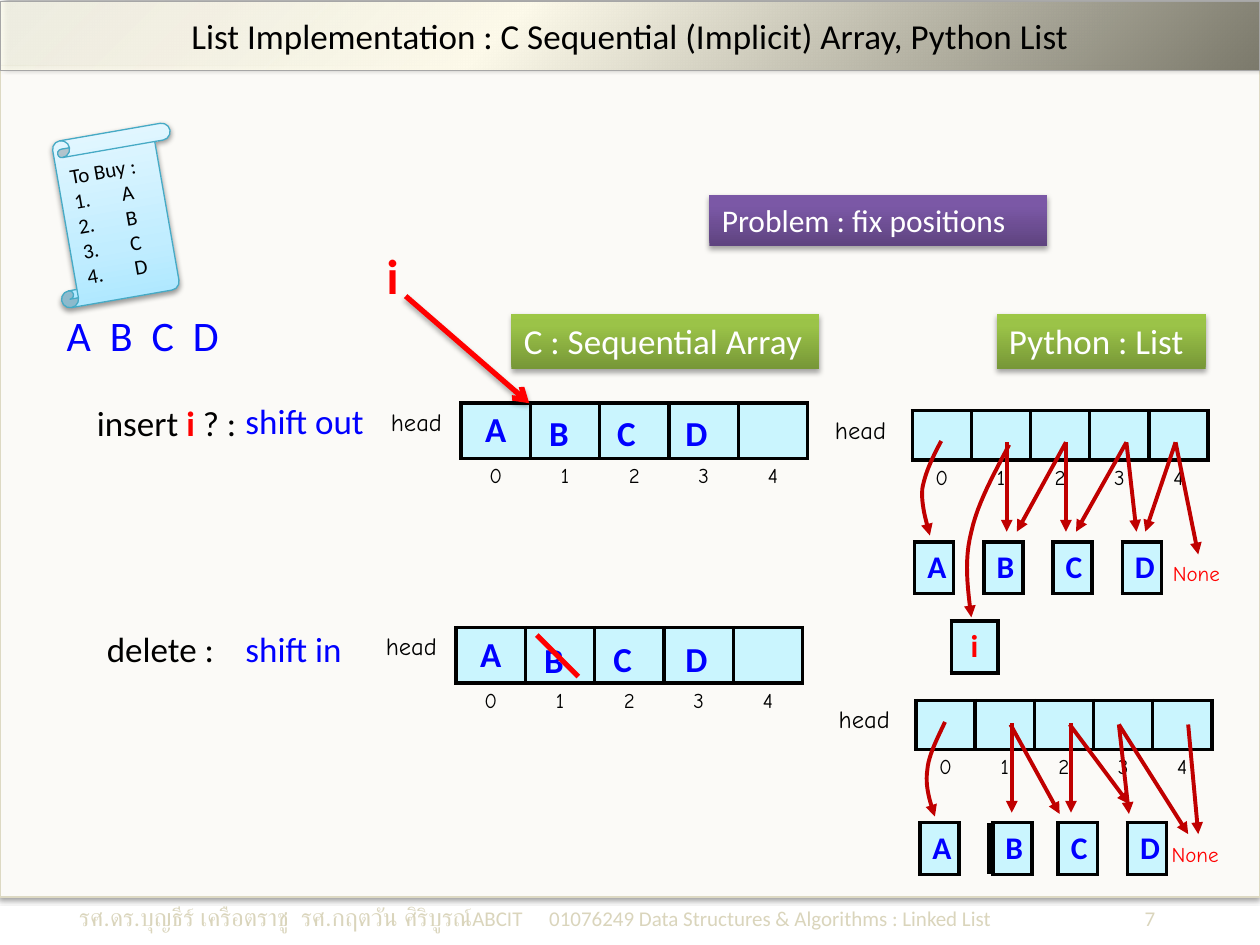
"""Build the slide comparing list insertion and deletion in C arrays and Python lists."""
from lxml.etree import SubElement
from pptx import Presentation
from pptx.dml.color import RGBColor
from pptx.enum.shapes import MSO_CONNECTOR as Connector, MSO_SHAPE as Shape
from pptx.enum.text import MSO_ANCHOR as Anchor, PP_ALIGN as Align
from pptx.oxml import parse_xml
from pptx.oxml.ns import nsdecls, qn
from pptx.util import Inches, Pt

THEME = {
    "black": "000000", "white": "FFFFFF", "blue": "0000FF", "red": "FF0000",
    "pointer": "C00000", "cell": "CAF5FE", "panel": "FBFAF7", "edge": "DDD9C3",
    "footer": "DAD5BC", "title edge": "A6A6A6", "scroll edge": "46AAC5",
    "body": "Calibri", "hand": "Comic Neue", "thai": "Roboto",
    "green": ([(0, "779737"), (80, "9BC348"), (100, "9DC746")], 270),
    "purple": ([(0, "5F4480"), (80, "7B58A6"), (100, "7C57A8")], 270),
    "paper": ([(0, "A7E6FF"), (35, "C1EDFF"), (100, "E7F8FF")], 270),
    "banner": ([(0, "FEFCEE", 79), (40, "FDFAEA"), (100, "7B796B")], 45),
    "soft": (38, 3.1, 1.6, 90), "label": (35, 3.1, 1.8, 90), "lift": (40, 4, 3, 315),
}
STYLES = {
    "head": (14, "hand", "black", False), "index": (12, "hand", "black", False),
    "item": (20, "body", "blue", True), "box": (18, "body", "blue", True),
    "new": (18, "body", "red", True), "pointer": (28, "body", "red", True),
    "none": (12, "hand", "red", False), "plain": (20, "body", "black", False),
    "mark": (20, "body", "red", True), "answer": (20, "body", "blue", False),
    "letters": (24, "body", "blue", False), "note": (12, "body", "black", False),
    "label": (20, "body", "white", False), "problem": (18, "body", "white", False),
    "author": (14, "thai", "footer", False), "course": (12, "body", "footer", False),
}
TITLE = "List Implementation : C Sequential (Implicit) Array, Python List"
SHOPPING = ["To Buy :", "A", "B", "C", "D"]
TEXTS = [
    ((0.53, 7.11, 8.98, 0.37), True,
     [("รศ.ดร.บุญธีร์ เครือตราชู  รศ.กฤตวัน ศิริบูรณ์", "author"),
      ("ABCIT\t01076249 Data Structures & Algorithms : Linked List\t7", "course")]),
    ((0.67, 3.14, 2.5, 0.44), True,
     [("insert ", "plain"), ("i", "mark"), (" ? :", "plain")]),
    ((0.75, 4.93, 2.2, 0.44), True, [("delete :\t", "plain"), ("shift in", "answer")]),
    ((0.43, 2.41, 1.5, 0.5), True, [("A  B  C  D", "letters")]),
    ((2.97, 1.9, 0.33, 0.58), True, [("i", "pointer")]),
    ((1.85, 3.12, 1.16, 0.44), False, [("shift out", "answer")]),
    ((9.21, 4.4, 0.61, 0.3), False, [("None", "none")]),
    ((9.2, 6.63, 0.61, 0.3), False, [("None", "none")]),
]
TABS = {0: [(3.73, "l"), (8.54, "r")], 2: [(1.1, "l")]}
LOOSE_ITEMS = [("B", 4.26, 3.22), ("C", 4.8, 3.22), ("D", 5.34, 3.22),
               ("B", 4.22, 5.02), ("C", 4.77, 5.01), ("D", 5.34, 5.01)]
LABELS = [
    ((4.06, 2.49, 2.44, 0.44), "C : Sequential Array", "label", "green"),
    ((5.63, 1.55, 2.68, 0.4), "Problem : fix positions", "problem", "purple"),
    ((7.91, 2.49, 1.66, 0.44), "Python : List ", "label", "green"),
]
C_GRID = ([0.71] + [0.55] * 5, [0.43, 0.43], "A")
PYTHON_GRID = ([0.82] + [0.47] * 5, [0.39, 0.43], "")
ARRAYS = [(2.95, 3.2, C_GRID), (2.91, 4.98, C_GRID),
          (6.42, 3.26, PYTHON_GRID), (6.45, 5.56, PYTHON_GRID)]
BOX, GAP, BOX_HEIGHT = 0.31, 0.23, 0.41
BOX_ROWS = [(7.26, 4.3, "A B C D"), (7.3, 6.53, "A   C D"), (7.88, 6.53, "B")]
POINTERS = [
    (7.99, 3.51, 7.99, 4.22), (8.46, 3.51, 8.46, 4.22), (8.94, 3.51, 9.02, 4.22),
    (9.33, 3.51, 9.09, 4.22), (8.94, 3.51, 8.54, 4.22), (8.46, 3.51, 8.07, 4.22),
    (9.33, 3.51, 9.51, 4.4), (8.03, 5.74, 8.03, 6.45), (8.5, 5.74, 8.5, 6.45),
    (8.88, 5.75, 8.96, 6.46), (8.88, 5.75, 9.43, 6.62), (8.49, 5.75, 8.96, 6.38),
    (8.02, 5.75, 8.41, 6.46), (9.43, 5.75, 9.51, 6.62),
]
CURVES = [
    [(7.47, 3.5), (7.4, 3.63), (7.34, 3.76), (7.32, 3.88),
     (7.31, 4.01), (7.35, 4.13), (7.38, 4.25)],
    [(8.01, 3.53), (7.89, 3.76), (7.76, 3.99), (7.71, 4.22),
     (7.65, 4.45), (7.68, 4.67), (7.71, 4.9)],
    [(7.5, 5.73), (7.44, 5.86), (7.37, 5.99), (7.36, 6.11),
     (7.34, 6.24), (7.38, 6.36), (7.42, 6.48)],
]


def color(name):
    return RGBColor.from_string(THEME[name])


def write(paragraph, runs, align=Align.LEFT):
    paragraph.alignment = align
    for words, style in runs:
        run = paragraph.add_run()
        run.text = words
        size, face, ink, run.font.bold = STYLES[style]
        run.font.size, run.font.name = Pt(size), THEME[face]
        run.font.color.rgb = color(ink)


def shade(shape, name):
    alpha, blur, dist, angle = THEME[name]
    shape._element.spPr.append(parse_xml(
        f'<a:effectLst {nsdecls("a")}><a:outerShdw blurRad="{Pt(blur)}" dist="{Pt(dist)}" '
        f'dir="{angle * 60000}" rotWithShape="0"><a:srgbClr val="000000">'
        f'<a:alpha val="{alpha * 1000}"/></a:srgbClr></a:outerShdw></a:effectLst>'))


def blend(shape, name):
    stops, angle = THEME[name]
    shape.fill.gradient()
    gradient = shape._element.spPr.find(qn("a:gradFill"))
    marks = "".join(
        f'<a:gs pos="{pos * 1000}"><a:srgbClr val="{ink}">'
        + "".join(f'<a:alpha val="{a * 1000}"/>' for a in alpha) + "</a:srgbClr></a:gs>"
        for pos, ink, *alpha in stops)
    gradient.getparent().replace(gradient, parse_xml(
        f'<a:gradFill {nsdecls("a")} rotWithShape="1"><a:gsLst>{marks}</a:gsLst>'
        f'<a:lin ang="{angle * 60000}" scaled="0"/></a:gradFill>'))


def outline(shape, ink, width, tail=None):
    shape.line.color.rgb, shape.line.width = color(ink), Pt(width)
    if tail:
        SubElement(shape.line._get_or_add_ln(), qn("a:tailEnd"), type=tail)


def add_shape(kind, place):
    shape = slide.shapes.add_shape(kind, *map(Inches, place))
    shape.line.fill.background()
    return shape


def add_text(place, wrap, runs, tabs=()):
    box = slide.shapes.add_textbox(*map(Inches, place))
    box.text_frame.word_wrap = wrap
    paragraph = box.text_frame.paragraphs[0]
    write(paragraph, runs)
    if tabs:
        stops = SubElement(paragraph._p.get_or_add_pPr(), qn("a:tabLst"))
        for pos, side in tabs:
            SubElement(stops, qn("a:tab"), pos=str(Inches(pos)), algn=side)


def add_line(x1, y1, x2, y2, ink, width, tail=None, shadow=None):
    line = slide.shapes.add_connector(Connector.STRAIGHT, *map(Inches, (x1, y1, x2, y2)))
    outline(line, ink, width, tail)
    if shadow:
        shade(line, shadow)
    else:
        SubElement(line._element.spPr, qn("a:effectLst"))


def add_curve(points, steps=12):
    trail = []
    for start in range(0, len(points) - 1, 3):
        for step in range(1, steps + 1):
            t = step / steps
            weights = ((1 - t) ** 3, 3 * t * (1 - t) ** 2, 3 * t * t * (1 - t), t ** 3)
            legs = list(zip(weights, points[start:start + 4]))
            trail.append([Inches(sum(w * p[axis] for w, p in legs)) for axis in (0, 1)])
    builder = slide.shapes.build_freeform(*map(Inches, points[0]))
    builder.add_line_segments(trail, close=False)
    curve = builder.convert_to_shape()
    curve.fill.background()
    outline(curve, "pointer", 2.25, "triangle")
    curve.shadow.inherit = False


def add_grid(left, top, widths, heights, rows):
    size = map(Inches, (left, top, sum(widths), sum(heights)))
    grid = slide.shapes.add_table(len(rows), len(widths), *size).table
    grid.first_row = grid.horz_banding = False
    grid._tbl.tblPr.find(qn("a:tableStyleId")).text = "{2D5ABB26-0587-4C30-8999-92F81FD0307C}"
    for tracks, lengths in ((grid.columns, widths), (grid.rows, heights)):
        for index, length in enumerate(lengths):
            if tracks is grid.columns:
                tracks[index].width = Inches(length)
            else:
                tracks[index].height = Inches(length)
    filled = {(r, c) for r, row in enumerate(rows) for c, (_, style) in enumerate(row)
              if style in ("item", "box", "new")}
    for r, row in enumerate(rows):
        for c, (words, style) in enumerate(row):
            cell = grid.cell(r, c)
            paragraph = cell.text_frame.paragraphs[0]
            if words:
                write(paragraph, [(words, style)], Align.CENTER)
            else:
                SubElement(paragraph._p, qn("a:endParaRPr"), sz="1200")
            borders = cell._tc.get_or_add_tcPr()
            for side, dr, dc in (("L", 0, -1), ("R", 0, 1), ("T", -1, 0), ("B", 1, 0)):
                if filled & {(r, c), (r + dr, c + dc)}:
                    borders.append(parse_xml(
                        f'<a:ln{side} {nsdecls("a")} w="{Pt(2.25)}"><a:solidFill>'
                        f'<a:srgbClr val="{THEME["black"]}"/></a:solidFill></a:ln{side}>'))
            if (r, c) in filled:
                cell.vertical_anchor = Anchor.MIDDLE
                cell.fill.solid()
                cell.fill.fore_color.rgb = color("cell")
            else:
                cell.fill.background()


deck = Presentation()
deck.slide_width, deck.slide_height = Inches(10), Inches(7.5)
slide = deck.slides.add_slide(deck.slide_layouts[5])

panel = add_shape(Shape.RECTANGLE, (0, 0.52, 10, 6.6))
panel.fill.solid()
panel.fill.fore_color.rgb = color("panel")
outline(panel, "edge", 0.75)
shade(panel, "soft")

title = slide.shapes.title
title.left, title.top, title.width, title.height = map(Inches, (0, 0.01, 10, 0.55))
blend(title, "banner")
outline(title, "title edge", 0.75)
shade(title, "lift")
title.text_frame.vertical_anchor = Anchor.MIDDLE
write(title.text_frame.paragraphs[0], [(TITLE, "plain")], Align.CENTER)
panel._element.addnext(title._element)

for left, top, (widths, heights, first) in ARRAYS:
    slots = [("head", "head"), (first, "item")] + [("", "item")] * 4
    indices = [("", "index")] + [(str(i), "index") for i in range(5)]
    add_grid(left, top, widths, heights, [slots, indices])
for left, top, letters in BOX_ROWS:
    widths = [GAP if i % 2 else BOX for i in range(len(letters))]
    boxes = [(x.strip(), "box" if x.strip() else "index") for x in letters]
    add_grid(left, top, widths, [BOX_HEIGHT], [boxes])
add_grid(7.55, 4.93, [0.37], [BOX_HEIGHT], [[("i", "new")]])

for order, (place, wrap, runs) in enumerate(TEXTS):
    add_text(place, wrap, runs, TABS.get(order, ()))
for letter, left, top in LOOSE_ITEMS:
    add_text((left, top, 0.52, 0.57), True, [(letter, "item")])
for place, words, style, tint in LABELS:
    label = add_shape(Shape.RECTANGLE, place)
    blend(label, tint)
    shade(label, "label")
    label.text_frame.word_wrap = not words.endswith(" ")
    label.text_frame.vertical_anchor = Anchor.TOP
    write(label.text_frame.paragraphs[0], [(words, style)])

scroll = add_shape(Shape.VERTICAL_SCROLL, (0.38, 1.05, 1.08, 1.32))
scroll.rotation = 350.1
blend(scroll, "paper")
outline(scroll, "scroll edge", 0.75)
shade(scroll, "soft")
for order, words in enumerate(SHOPPING):
    frame = scroll.text_frame
    entry = frame.add_paragraph() if order else frame.paragraphs[0]
    write(entry, [(words, "note")])
    if order:
        props = entry._p.get_or_add_pPr()
        props.set("marL", str(Inches(0.38)))
        props.set("indent", str(-Inches(0.38)))
        SubElement(props, qn("a:buAutoNum"), type="arabicPeriod")

add_line(4.59, 5.37, 4.26, 5.04, "red", 3)
add_line(3.22, 2.35, 4.2, 3.2, "red", 3, "arrow", "label")
for ends in POINTERS:
    add_line(*ends, "pointer", 2.25, "triangle")
for points in CURVES:
    add_curve(points)

deck.save("out.pptx")
